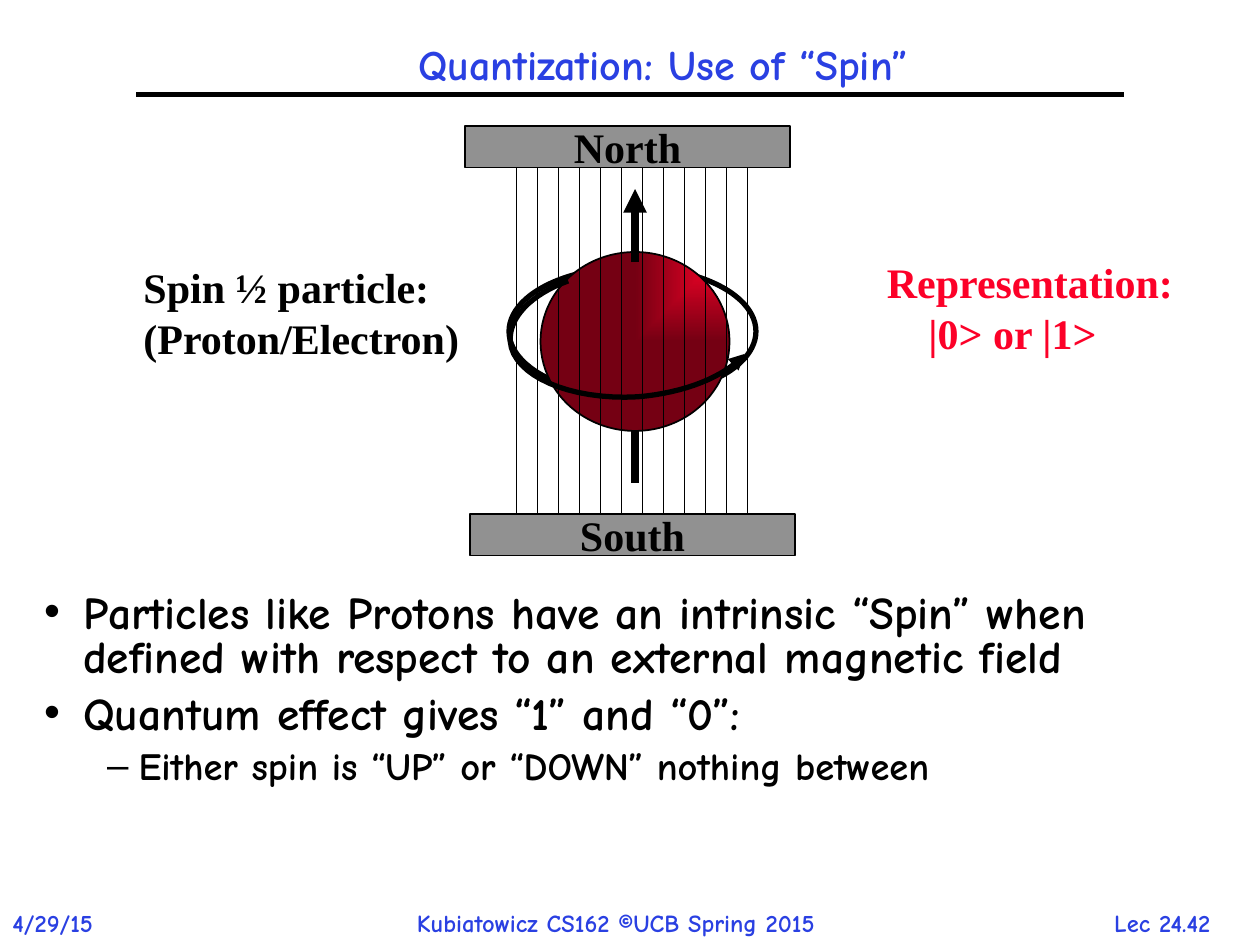
import dataclasses

import lxml.etree
import pptx
import pptx.dml.color
import pptx.enum.shapes
import pptx.enum.text
import pptx.oxml.ns
import pptx.util

Inches = pptx.util.Inches
Pt = pptx.util.Pt
Shape = pptx.enum.shapes.MSO_SHAPE
Align = pptx.enum.text.PP_ALIGN
Anchor = pptx.enum.text.MSO_ANCHOR
qn = pptx.oxml.ns.qn


@dataclasses.dataclass
class Theme:
    blue: str = "2A40E2"
    black: str = "000000"
    red: str = "FC0128"
    dark_red: str = "750013"
    gray: str = "919191"
    main_font: str = "Comic Neue"
    label_font: str = "Times New Roman"
    title_size: int = 24
    body_size: int = 26
    sub_size: int = 22
    label_size: int = 24
    footer_size: int = 14


def color(value):
    return pptx.dml.color.RGBColor.from_string(value)


def write(para, text, *, font, size, ink, align=Align.LEFT, spacing=1.0,
          before=0, margin=0, hanging=0, bullet=None):
    """Put one formatted bold span into a paragraph."""
    properties = para._p.get_or_add_pPr()
    properties.set("marL", str(Inches(margin)))
    properties.set("indent", str(Inches(-hanging)))
    if bullet:
        lxml.etree.SubElement(properties, qn("a:buChar")).set("char", bullet)
    para.alignment = align
    para.line_spacing = spacing
    para.space_before = Pt(before)
    span = para.add_run()
    span.text = text
    span.font.name = font
    span.font.size = Pt(size)
    span.font.bold = True
    span.font.color.rgb = color(ink)


def bezier(start, first, second, end, steps=16):
    """Points along a cubic curve, without its start."""
    points = []
    for step in range(1, steps + 1):
        t = step / steps
        weights = ((1 - t) ** 3, 3 * t * (1 - t) ** 2, 3 * t * t * (1 - t), t ** 3)
        knots = (start, first, second, end)
        points.append(tuple(sum(w * knot[axis] for w, knot in zip(weights, knots))
                            for axis in (0, 1)))
    return points


class SlideBuilder:
    def __init__(self, deck, theme):
        self.theme = theme
        self.slide = deck.slides.add_slide(deck.slide_layouts[1])
        self.shapes = self.slide.shapes

    def place(self, box, left, top, width, height):
        box.left, box.top = Inches(left), Inches(top)
        box.width, box.height = Inches(width), Inches(height)

    def title(self, text, *bounds):
        box = self.shapes.title
        self.place(box, *bounds)
        box.text_frame.auto_size = pptx.enum.text.MSO_AUTO_SIZE.NONE
        box.text_frame.vertical_anchor = Anchor.MIDDLE
        write(box.text_frame.paragraphs[0], text, font=self.theme.main_font,
              size=self.theme.title_size, ink=self.theme.blue,
              align=Align.CENTER, spacing=0.9)

    def body(self, items, *bounds):
        box = self.slide.placeholders[1]
        self.place(box, *bounds)
        frame = box.text_frame
        frame.auto_size = pptx.enum.text.MSO_AUTO_SIZE.NONE
        levels = (dict(size=self.theme.body_size, margin=0.31, hanging=0.31, bullet="•"),
                  dict(size=self.theme.sub_size, margin=0.75, hanging=0.25, bullet="–"))
        for index, (level, text) in enumerate(items):
            para = frame.add_paragraph() if index else frame.paragraphs[0]
            para.level = level
            style = levels[level]
            write(para, text, font=self.theme.main_font, ink=self.theme.black,
                  spacing=0.8, before=0.3 * style["size"] if index else 0, **style)

    def text(self, lines, *bounds, margins=(0,), **style):
        box = self.shapes.add_textbox(*map(Inches, bounds))
        frame = box.text_frame
        frame.word_wrap = False
        for index, (line, margin) in enumerate(zip(lines, margins)):
            para = frame.add_paragraph() if index else frame.paragraphs[0]
            write(para, line, margin=margin, **style)

    def footer(self, text, *bounds, align=Align.LEFT):
        self.text([text], *bounds, font=self.theme.main_font, align=align,
                  size=self.theme.footer_size, ink=self.theme.blue)

    def outline(self, item, width, arrow=False):
        item.line.color.rgb = color(self.theme.black)
        item.line.width = Pt(width)
        if arrow:
            line = item._element.spPr.find(qn("a:ln"))
            lxml.etree.SubElement(line, qn("a:tailEnd")).set("type", "triangle")

    def line(self, start, end, width, arrow=False):
        connector = self.shapes.add_connector(
            pptx.enum.shapes.MSO_CONNECTOR.STRAIGHT, *map(Inches, start + end))
        self.outline(connector, width, arrow)
        lxml.etree.SubElement(connector._element.spPr, qn("a:effectLst"))

    def shape(self, kind, *bounds, width, fill=None):
        shape = self.shapes.add_shape(kind, *map(Inches, bounds))
        shape.shadow.inherit = False
        if fill:
            shape.fill.solid()
            shape.fill.fore_color.rgb = color(fill)
        else:
            shape.fill.background()
        self.outline(shape, width)
        return shape

    def sphere(self, *bounds):
        ball = self.shape(Shape.OVAL, *bounds, width=1)
        ball.fill.gradient()
        stops = zip(ball.fill.gradient_stops, (self.theme.red, self.theme.dark_red), (0, 1))
        for stop, ink, position in stops:
            stop.color.rgb = color(ink)
            stop.position = position
        # Light falls from the top right corner
        gradient = ball._element.spPr.find(qn("a:gradFill"))
        gradient.remove(gradient.find(qn("a:lin")))
        shade = lxml.etree.SubElement(gradient, qn("a:path"))
        shade.set("path", "rect")
        focus = lxml.etree.SubElement(shade, qn("a:fillToRect"))
        focus.set("l", "100000")
        focus.set("b", "100000")

    def curve(self, start, segments, width):
        points = [start]
        for segment in segments:
            points += bezier(points[-1], *segment)
        points = [(Inches(x), Inches(y)) for x, y in points]
        builder = self.shapes.build_freeform(*points[0])
        builder.add_line_segments(points[1:], close=False)
        arc = builder.convert_to_shape()
        arc.shadow.inherit = False
        arc.fill.background()
        self.outline(arc, width, arrow=True)

    def magnet(self, text, left, top):
        bar = self.shape(Shape.RECTANGLE, left, top, 2.58, 0.33,
                         width=1, fill=self.theme.gray)
        bar.text_frame.word_wrap = False
        bar.text_frame.vertical_anchor = Anchor.MIDDLE
        write(bar.text_frame.paragraphs[0], text, font=self.theme.label_font,
              size=self.theme.label_size, ink=self.theme.black, align=Align.CENTER)


def main():
    deck = pptx.Presentation()
    deck.slide_width, deck.slide_height = Inches(10), Inches(7.5)
    theme = Theme()
    page = SlideBuilder(deck, theme)

    # Footer, title and rule
    page.footer("Lec 24.42", 8.56, 7.16, 1.33, 0.33, align=Align.CENTER)
    page.footer("4/29/15", 0, 7.16, 1, 0.34)
    page.footer("Kubiatowicz CS162 ©UCB Spring 2015", 3.21, 7.16, 3.87, 0.34)
    page.line((1.08, 0.75), (8.92, 0.75), 3)
    page.title("Quantization: Use of “Spin”", 0.61, 0.33, 9.31, 0.4)

    page.body([
        (0, "Particles like Protons have an intrinsic “Spin” when defined "
            "with respect to an external magnetic field"),
        (0, "Quantum effect gives “1” and “0”:"),
        (1, "Either spin is “UP” or “DOWN” nothing between"),
    ], 0.25, 4.67, 9.39, 2.17)

    # Spinning particle: orbit, ball, front arc and axis
    page.shape(Shape.OVAL, 4.04, 2.12, 1.96, 1.02, width=3)
    page.sphere(4.29, 2, 1.5, 1.42)
    page.curve((4.51, 2.23), [
        ((4.21, 2.34), (4.04, 2.52), (4.05, 2.71)),
        ((4.07, 2.98), (4.52, 3.18), (5.06, 3.15)),
        ((5.43, 3.12), (5.76, 2.99), (5.91, 2.81)),
    ], 3)
    page.line((5.04, 2.08), (5.04, 1.5), 4.5, arrow=True)
    page.line((5.04, 3.83), (5.04, 3.42), 4.5)

    # Magnet poles and field lines
    page.magnet("North", 3.69, 1)
    page.magnet("South", 3.73, 4.08)
    for index in range(12):
        x = 4.1 + index / 6
        page.line((x, 4.08), (x, 1.33), 1)

    # Side labels
    label = dict(font=theme.label_font, size=theme.label_size)
    page.text(["Spin ½ particle:", "(Proton/Electron)"], 1.04, 2.03, 2.72, 0.9,
              margins=(0, 0), ink=theme.black, **label)
    page.text(["Representation:", "|0> or |1>"], 6.94, 1.99, 2.48, 0.9,
              margins=(0, 0.33), ink=theme.red, **label)

    deck.save("out.pptx")


if __name__ == "__main__":
    main()
